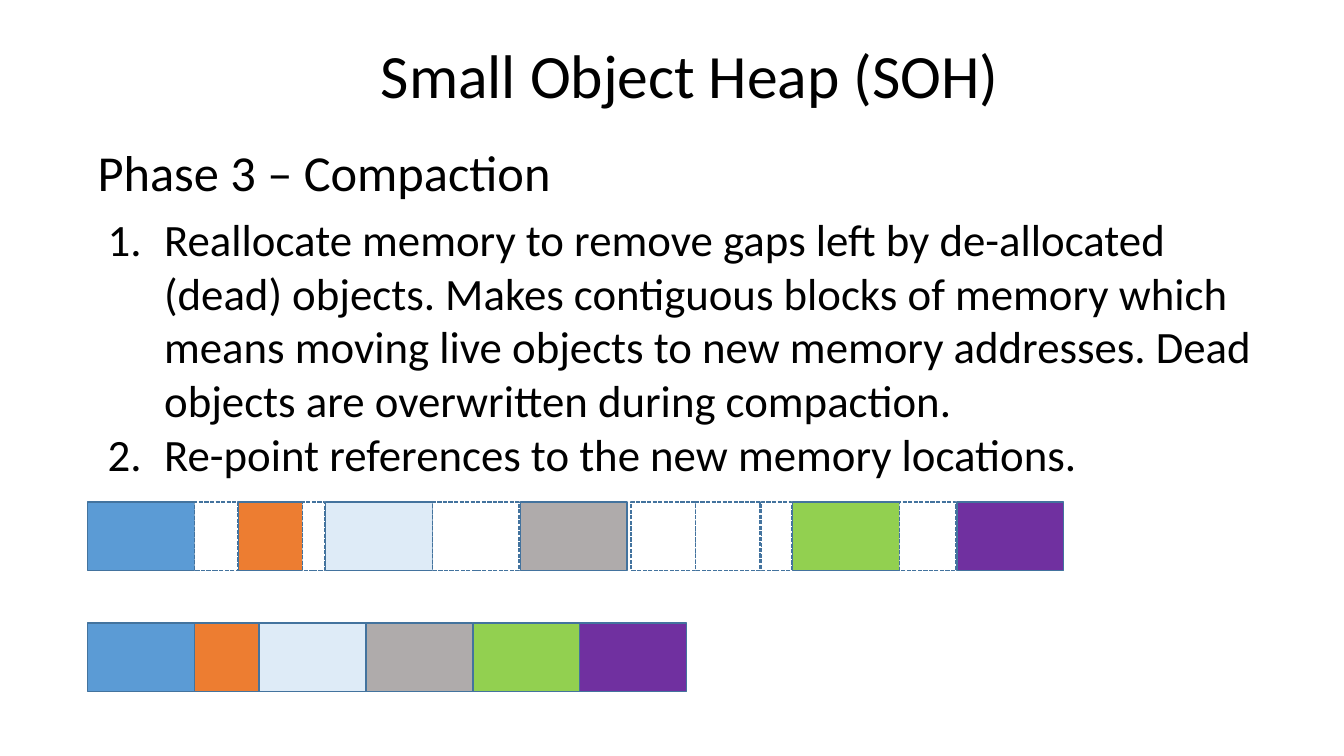
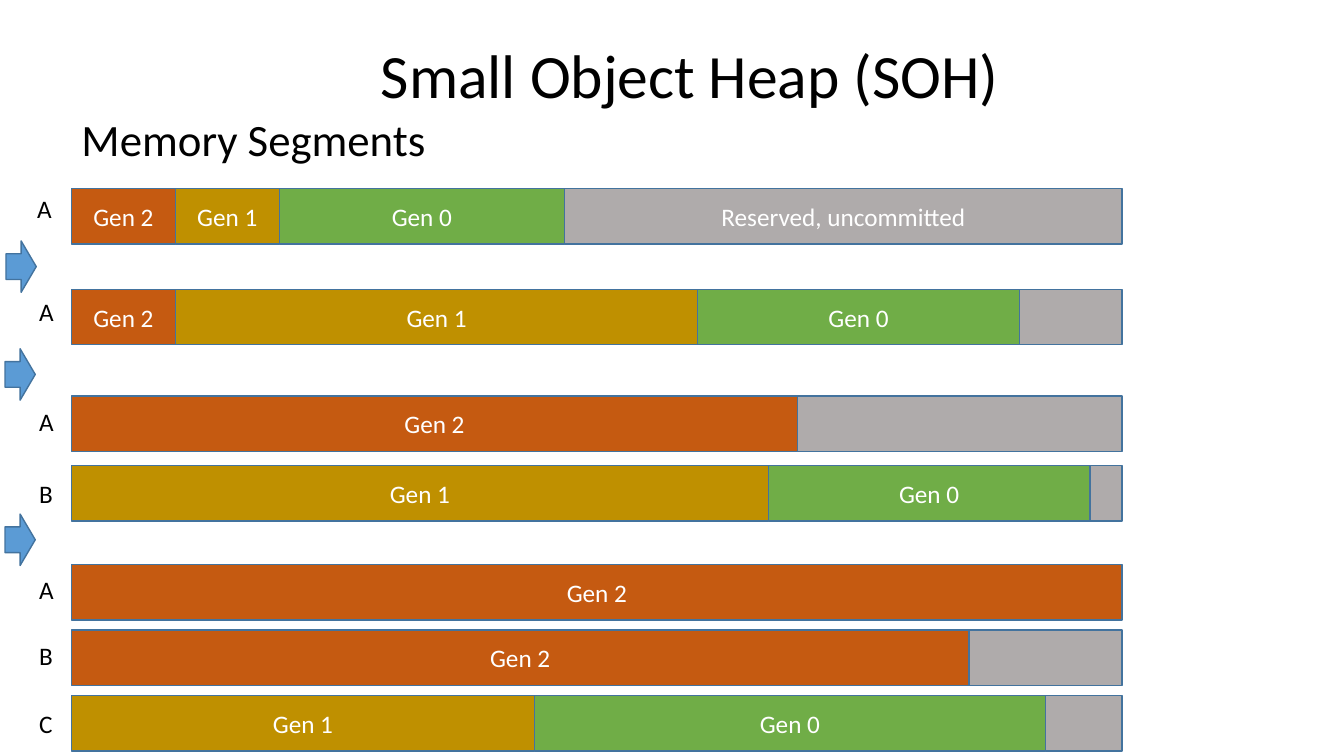
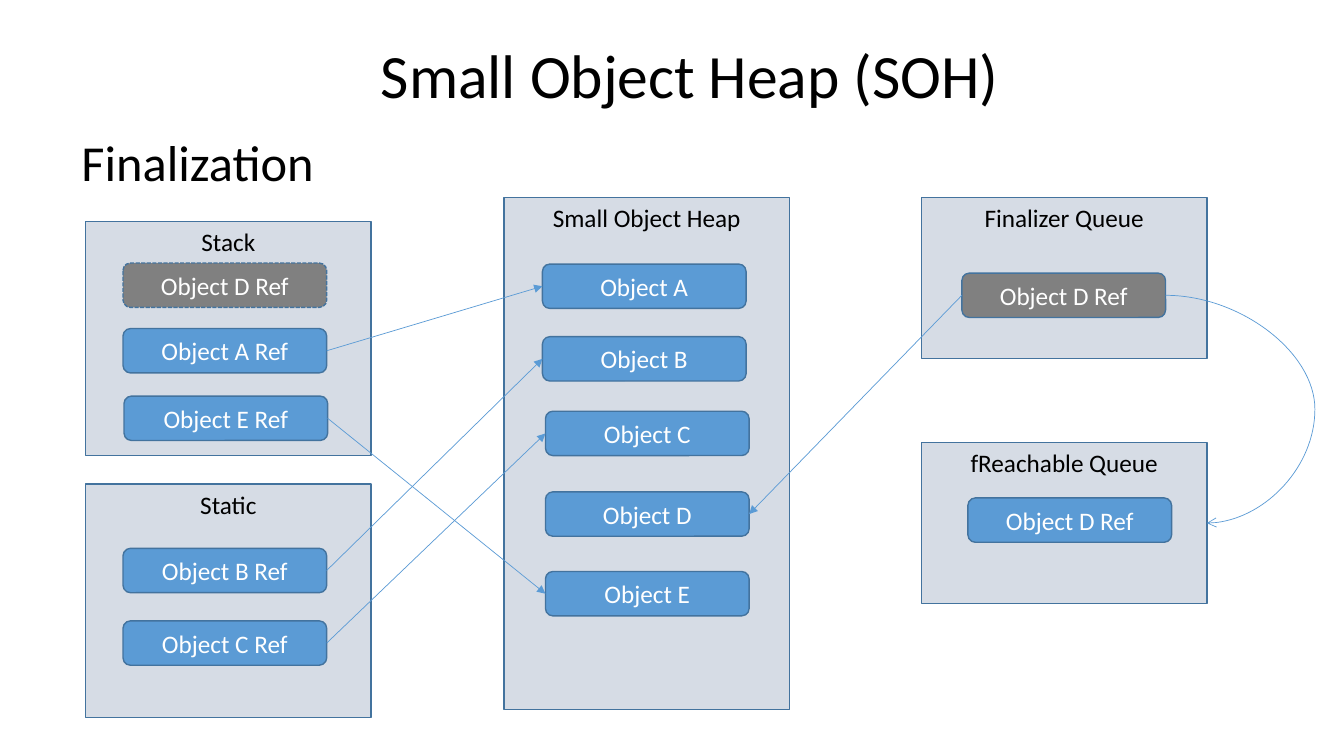
import pptx
import pptx.util
import pptx.dml.color
import pptx.enum.dml
import pptx.enum.shapes
import pptx.enum.text
import pptx.oxml
import pptx.oxml.ns
from lxml import etree

Inches = pptx.util.Inches
SHAPE = pptx.enum.shapes.MSO_SHAPE
CONNECTOR = pptx.enum.shapes.MSO_CONNECTOR
ALIGN = pptx.enum.text.PP_ALIGN
ANCHOR = pptx.enum.text.MSO_ANCHOR
qn = pptx.oxml.ns.qn

# ---- Shared look ----
FONT = "Calibri"
BLACK, WHITE = "000000", "FFFFFF"
OUTLINE, BLUE, GRAY, PANEL = "43739E", "5B9BD5", "808080", "D6DCE5"
TITLE = "Small Object Heap (SOH)"
TITLE_BOX = (3.68, 0.32, 6.4, 0.84)

# ---- Slide 1: compaction ----
PHASE = ("Phase 3 – Compaction", (0.87, 1.35, 4.74, 0.71), 36)
STEPS = [
    "Reallocate memory to remove gaps left by de-allocated (dead) objects. "
    "Makes contiguous blocks of memory which means moving live objects to new "
    "memory addresses. Dead objects are overwritten during compaction.",
    "Re-point references to the new memory locations.",
]
STEPS_BOX = (0.97, 2.05, 11.9, 2.79)
HEAP_LEFT, BEFORE_TOP, AFTER_TOP, BLOCK_HEIGHT = 0.87, 4.98, 6.18, 0.68
LIVE_BLOCKS = [  # left before compaction, width, colour
    (0.87, 1.06, "5B9BD5"), (2.36, 0.64, "ED7D31"), (3.23, 1.06, "DEEBF7"),
    (5.16, 1.06, "AFABAB"), (7.86, 1.06, "92D050"), (9.49, 1.06, "7030A0"),
]
DEAD_BLOCKS = [  # left, width
    (1.93, 0.43), (3, 0.22), (4.29, 0.86), (6.26, 0.64), (6.9, 0.64),
    (7.55, 0.3), (8.92, 0.56),
]

# ---- Slide 2: segments ----
SEGMENTS_HEADING = ("Memory Segments", (0.71, 1.06, 3.65, 0.64), 32)
GEN_COLORS = {"Gen 2": "C55A11", "Gen 1": "BF9000", "Gen 0": "70AD47"}
RESERVED = "AFABAB"
BAR_LEFT, BAR_RIGHT, BAR_HEIGHT = 0.71, 11.13, 0.55
SEGMENTS = [  # letter, letter left and top, bar top, generations, reserved text
    ("A", 0.27, 1.87, 1.87, [("Gen 2", 1.03), ("Gen 1", 1.03), ("Gen 0", 2.83)],
     "Reserved, uncommitted"),
    ("A", 0.29, 2.89, 2.87, [("Gen 2", 1.03), ("Gen 1", 5.18), ("Gen 0", 3.19)], ""),
    ("A", 0.29, 3.98, 3.93, [("Gen 2", 7.2)], ""),
    ("B", 0.29, 4.7, 4.62, [("Gen 1", 6.91), ("Gen 0", 3.19)], ""),
    ("A", 0.29, 5.65, 5.6, [("Gen 2", 10.42)], ""),
    ("B", 0.29, 6.3, 6.25, [("Gen 2", 8.9)], ""),
    ("C", 0.29, 6.98, 6.9, [("Gen 1", 4.59), ("Gen 0", 5.07)], ""),
]
COLLECTIONS = [(0.06, 2.39), (0.05, 3.46), (0.05, 5.1)]

# ---- Slide 3: finalization ----
FINALIZATION = ("Finalization", (0.71, 1.25, 2.53, 0.71), 36)
PANEL_WIDTH, OBJECT_SIZE = 2.83, (2.02, 0.44)
REGIONS = [  # name, left, top, height, objects (text, left, top, colour, dashed)
    ("Small Object Heap", 5, 1.96, 5.08, [
        ("Object A", 5.38, 2.62, BLUE, False), ("Object B", 5.38, 3.34, BLUE, False),
        ("Object C", 5.41, 4.08, BLUE, False), ("Object D", 5.41, 4.88, BLUE, False),
        ("Object E", 5.41, 5.67, BLUE, False)]),
    ("Stack", 0.85, 2.2, 2.32, [
        ("Object D Ref", 1.22, 2.61, GRAY, True),
        ("Object A Ref", 1.22, 3.26, BLUE, False),
        ("Object E Ref", 1.23, 3.93, BLUE, False)]),
    ("Static", 0.85, 4.8, 2.32, [
        ("Object B Ref", 1.22, 5.44, BLUE, False),
        ("Object C Ref", 1.22, 6.16, BLUE, False)]),
    ("Finalizer Queue", 9.14, 1.96, 1.6, [("Object D Ref", 9.54, 2.71, GRAY, False)]),
    ("fReachable Queue", 9.14, 4.39, 1.6, [("Object D Ref", 9.6, 4.94, BLUE, False)]),
]
REFERENCES = [("Stack", "A"), ("Stack", "E"), ("Static", "B"), ("Static", "C")]
LEFT_SIDE, RIGHT_SIDE = 1, 3
CURVE_BULGE = 361500


# ---- Helpers ----
def rgb(value):
    return pptx.dml.color.RGBColor.from_string(value)


def apply(target, values):
    for name, value in values.items():
        setattr(target, name, value)


def write(paragraph, text, size, color, align=None):
    paragraph.alignment = align
    run = paragraph.add_run()
    run.text = text
    apply(run.font, {"name": FONT, "size": pptx.util.Pt(size)})
    run.font.color.rgb = rgb(color)


def add_text(slide, text, box, size, wrap=False):
    frame = slide.shapes.add_textbox(*map(Inches, box)).text_frame
    apply(frame, {"word_wrap": wrap,
                  "auto_size": pptx.enum.text.MSO_AUTO_SIZE.SHAPE_TO_FIT_TEXT})
    lines = [text] if isinstance(text, str) else text
    for index, line in enumerate(lines):
        paragraph = frame.add_paragraph() if index else frame.paragraphs[0]
        write(paragraph, line, size, BLACK)
    return frame


def add_block(slide, box, fill, text="", kind=SHAPE.RECTANGLE, color=WHITE,
              anchor=ANCHOR.MIDDLE, dashed=False):
    block = slide.shapes.add_shape(kind, *map(Inches, box))
    block.shadow.inherit = False
    block.fill.solid()
    block.fill.fore_color.rgb = rgb(fill)
    block.line.color.rgb = rgb(OUTLINE)
    block.line.width = pptx.util.Pt(1)
    if dashed:
        block.line.dash_style = pptx.enum.dml.MSO_LINE.SQUARE_DOT
    if text:
        block.text_frame.vertical_anchor = anchor
        write(block.text_frame.paragraphs[0], text, 18, color, ALIGN.CENTER)
    return block


def add_arrow(slide, start, end, kind=CONNECTOR.STRAIGHT, head="triangle"):
    arrow = slide.shapes.add_connector(kind, *start, *end)
    arrow.line.color.rgb = rgb(BLUE)
    arrow.line.width = pptx.util.Pt(0.5)
    etree.SubElement(arrow.line._get_or_add_ln(), qn("a:tailEnd"), type=head)
    etree.SubElement(arrow._element.spPr, qn("a:effectLst"))
    return arrow


def link(slide, source, source_side, target, target_side):
    arrow = add_arrow(slide, (0, 0), (0, 0))
    arrow.begin_connect(source, source_side)
    arrow.end_connect(target, target_side)


def right_middle(block):
    return block.left + block.width, block.top + block.height // 2


def add_slide(deck, heading):
    slide = deck.slides.add_slide(deck.slide_layouts[6])
    add_text(slide, TITLE, TITLE_BOX, 44)
    add_text(slide, *heading)
    return slide


deck = pptx.Presentation()
apply(deck, {"slide_width": Inches(13.33), "slide_height": Inches(7.5)})

# ---- Compaction ----
slide = add_slide(deck, PHASE)
for step in add_text(slide, STEPS, STEPS_BOX, 32, wrap=True).paragraphs:
    properties = step._p.get_or_add_pPr()
    properties.set("marL", str(Inches(0.56)))
    properties.set("indent", str(Inches(-0.56)))
    etree.SubElement(properties, qn("a:buFont"), typeface="+mj-lt")
    etree.SubElement(properties, qn("a:buAutoNum"), type="arabicPeriod")

compacted_left = HEAP_LEFT
for left, width, color in LIVE_BLOCKS:
    add_block(slide, (left, BEFORE_TOP, width, BLOCK_HEIGHT), color)
    add_block(slide, (compacted_left, AFTER_TOP, width, BLOCK_HEIGHT), color)
    compacted_left += width
for left, width in DEAD_BLOCKS:
    add_block(slide, (left, BEFORE_TOP, width, BLOCK_HEIGHT), WHITE, dashed=True)

# ---- Memory segments ----
slide = add_slide(deck, SEGMENTS_HEADING)
for letter, letter_left, letter_top, top, generations, reserved_text in SEGMENTS:
    add_text(slide, letter, (letter_left, letter_top, 0.35, 0.4), 18)
    left = BAR_LEFT
    for name, width in generations:
        add_block(slide, (left, top, width, BAR_HEIGHT), GEN_COLORS[name], name)
        left += width
    rest = BAR_RIGHT - left
    if rest > 0.01:
        add_block(slide, (left, top, rest, BAR_HEIGHT), RESERVED, reserved_text)
for left, top in COLLECTIONS:
    add_block(slide, (left, top, 0.3, 0.51), BLUE, kind=SHAPE.RIGHT_ARROW)

# ---- Finalization ----
slide = add_slide(deck, FINALIZATION)
regions, objects = {}, {}
for region, left, top, height, members in REGIONS:
    regions[region] = add_block(slide, (left, top, PANEL_WIDTH, height), PANEL, region,
                                color=BLACK, anchor=ANCHOR.TOP)
    for text, object_left, object_top, color, dashed in members:
        objects[region, text] = add_block(
            slide, (object_left, object_top, *OBJECT_SIZE), color, text,
            kind=SHAPE.ROUNDED_RECTANGLE, dashed=dashed)

for region, letter in REFERENCES:
    link(slide, objects[region, f"Object {letter} Ref"], RIGHT_SIDE,
         objects["Small Object Heap", f"Object {letter}"], LEFT_SIDE)
queued = objects["Finalizer Queue", "Object D Ref"]
link(slide, queued, LEFT_SIDE, objects["Small Object Heap", "Object D"], RIGHT_SIDE)

# The move between queues bulges out to the right
move = add_arrow(slide, right_middle(queued), right_middle(regions["fReachable Queue"]),
                 CONNECTOR.CURVE, "arrow")
adjustments = move._element.spPr.find(qn("a:prstGeom")).get_or_add_avLst()
etree.SubElement(adjustments, qn("a:gd"), name="adj1", fmla=f"val {CURVE_BULGE}")

deck.save("out.pptx")
